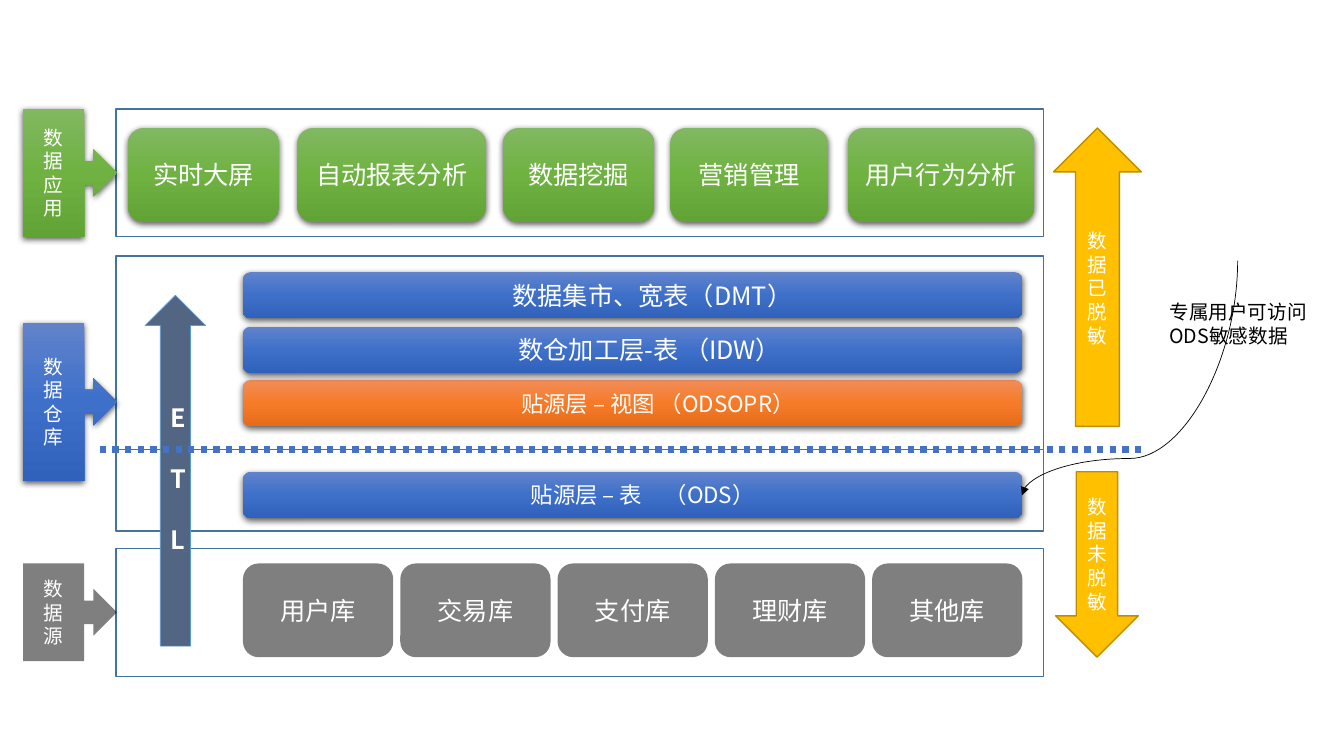
from lxml import etree
from pptx import Presentation
from pptx import oxml
from pptx import util as u
from pptx.dml.color import RGBColor
from pptx.enum import dml, shapes, text
from pptx.oxml import ns

COLOURS = {
    "white": "FFFFFF", "black": "000000", "frame": "43739E",
    "etl": "526582", "etl_line": "5B9BD5",
    "amber": "FFC000", "amber_line": "BD8E00", "divider": "4472C4",
}
GRADIENTS = {
    "blue": ("6183CB", "3E70CA", "3062BB"),
    "orange": ("F18C57", "F67B28", "E56C19"),
    "green": ("81B861", "6FB242", "62A336"),
}
KIND = shapes.MSO_SHAPE


class Diagram:
    font = "Noto Sans CJK SC"
    scale = 9144

    def __init__(self, presentation):
        self.slide = presentation.slides.add_slide(presentation.slide_layouts[6])

    def px(self, *lengths):
        return [u.Emu(length * self.scale) for length in lengths]

    def colour(self, name):
        return RGBColor.from_string(COLOURS[name])

    def child(self, parent, tag, **attributes):
        return etree.SubElement(parent, ns.qn(tag), attributes)

    def fill_text(self, frame, lines, size, colour="white", align=None, bold=None, gap=0):
        for index, line in enumerate(lines):
            paragraph = frame.paragraphs[0] if index == 0 else frame.add_paragraph()
            paragraph.text = line
            paragraph.alignment = align
            if index and gap:
                paragraph.space_before = u.Pt(gap)
            font = paragraph.font
            font.size, font.bold, font.name = u.Pt(size), bold, self.font
            font.color.rgb = self.colour(colour)
            defaults = paragraph._p.pPr.find(ns.qn("a:defRPr"))
            self.child(defaults, "a:ea", typeface=self.font)

    def shape(self, kind, box, lines=(), size=14, fill=None, line=None,
              width=1, indent=0, bold=None, gap=0):
        shape = self.slide.shapes.add_shape(kind, *self.px(*box))
        shape.shadow.inherit = False
        if fill in GRADIENTS:
            self.gradient(shape, GRADIENTS[fill])
        elif fill:
            shape.fill.solid()
            shape.fill.fore_color.rgb = self.colour(fill)
            if fill == "black":
                tint = shape._element.spPr.find(".//" + ns.qn("a:srgbClr"))
                self.child(tint, "a:alpha", val="50000")
        else:
            shape.fill.background()
        if line:
            shape.line.color.rgb = self.colour(line)
            shape.line.width = u.Pt(width)
        else:
            shape.line.fill.background()
        frame = shape.text_frame
        frame.word_wrap = True
        frame.vertical_anchor = text.MSO_ANCHOR.MIDDLE
        frame.margin_left, = self.px(10 + indent)
        self.fill_text(frame, lines, size, align=text.PP_ALIGN.CENTER, bold=bold, gap=gap)

    def gradient(self, shape, stops):
        shape.fill.background()
        properties = shape._element.spPr
        fill = oxml.parse_xml(f'<a:gradFill {ns.nsdecls("a")}/>')
        stop_list = self.child(fill, "a:gsLst")
        for index, stop in enumerate(stops):
            position = self.child(stop_list, "a:gs", pos=str(index * 50000))
            self.child(position, "a:srgbClr", val=stop)
        self.child(fill, "a:lin", ang="5400000", scaled="0")
        properties.replace(properties.find(ns.qn("a:noFill")), fill)
        shadow = self.child(properties.find(ns.qn("a:effectLst")), "a:outerShdw",
                            blurRad=str(u.Pt(4.5)), dist=str(u.Pt(1.5)),
                            dir="5400000", algn="ctr", rotWithShape="0")
        tint = self.child(shadow, "a:srgbClr", val=COLOURS["black"])
        self.child(tint, "a:alpha", val="63000")

    def connector(self, kind, ends, colour, width):
        connector = self.slide.shapes.add_connector(kind, *self.px(*ends))
        connector.line.color.rgb = self.colour(colour)
        connector.line.width = u.Pt(width)
        self.child(connector._element.spPr, "a:effectLst")
        return connector

    def divider(self, ends):
        line = self.connector(shapes.MSO_CONNECTOR.STRAIGHT, ends, "divider", 4.5)
        line.line.dash_style = dml.MSO_LINE.ROUND_DOT

    def curved_arrow(self, ends, bend):
        arrow = self.connector(shapes.MSO_CONNECTOR.CURVE, ends, "black", 0.5)
        properties = arrow._element.spPr
        properties.find(ns.qn("a:xfrm")).set("rot", "5400000")
        guides = properties.find(".//" + ns.qn("a:avLst"))
        self.child(guides, "a:gd", name="adj1", fmla=f"val {bend}")
        self.child(properties.find(ns.qn("a:ln")), "a:tailEnd", type="triangle")

    def label(self, box, lines):
        frame = self.slide.shapes.add_textbox(*self.px(*box)).text_frame
        frame.word_wrap = False
        frame.auto_size = text.MSO_AUTO_SIZE.SHAPE_TO_FIT_TEXT
        self.fill_text(frame, lines, 14, "black")


def main():
    presentation = Presentation()
    presentation.slide_width = u.Emu(1333 * Diagram.scale)
    presentation.slide_height = u.Emu(750 * Diagram.scale)
    diagram = Diagram(presentation)

    for top, height in ((544, 127), (254, 192), (446, 81), (108, 127)):
        diagram.shape(KIND.RECTANGLE, (115, top, 920, height), line="frame")

    for top, height, name, fill in ((559, 97, "数据源", "black"),
                                    (320, 157, "数据仓库", "blue"),
                                    (108, 127, "数据应用", "green")):
        diagram.shape(KIND.RIGHT_ARROW_CALLOUT, (23, top, 93, height), name, fill=fill)

    for index, name in enumerate(("用户库", "交易库", "支付库", "理财库", "其他库")):
        diagram.shape(KIND.ROUNDED_RECTANGLE, (241 + 156 * index, 559, 149, 93),
                      [name], 18, "black")

    diagram.shape(KIND.UP_ARROW, (144, 293, 60, 348), "ETL", 18, "etl",
                  "etl_line", 0.5, bold=True, gap=22)

    for top, name, size, fill, indent in (
            (468, "贴源层 – 表　（ODS）", 16, "blue", 20),
            (377, "贴源层 – 视图 （ODSOPR）", 16, "orange", 50),
            (324, "数仓加工层-表 （IDW）", 18, "blue", 34),
            (270, "数据集市、宽表（DMT）", 18, "blue", 39)):
        diagram.shape(KIND.ROUNDED_RECTANGLE, (241, top, 773, 46), [name], size,
                      fill, indent=indent)

    for left, width, name in ((127, 150, "实时大屏"), (295, 187, "自动报表分析"),
                              (499, 150, "数据挖掘"), (665, 156, "营销管理"),
                              (841, 185, "用户行为分析")):
        diagram.shape(KIND.ROUNDED_RECTANGLE, (left, 127, width, 93), [name], 18, "green")

    diagram.curved_arrow((1004, 268, 1237, 482), 84300)
    diagram.label((1150, 293, 158, 57), ["专属用户可访问", "ODS敏感数据"])
    diagram.divider((99, 446, 1132, 446))

    for kind, box, name in ((KIND.UP_ARROW, (1045, 127, 87, 296), "数据已脱敏"),
                            (KIND.DOWN_ARROW, (1047, 468, 82, 184), "数据未脱敏")):
        diagram.shape(kind, box, name, fill="amber", line="amber_line")

    presentation.save("out.pptx")


if __name__ == "__main__":
    main()
